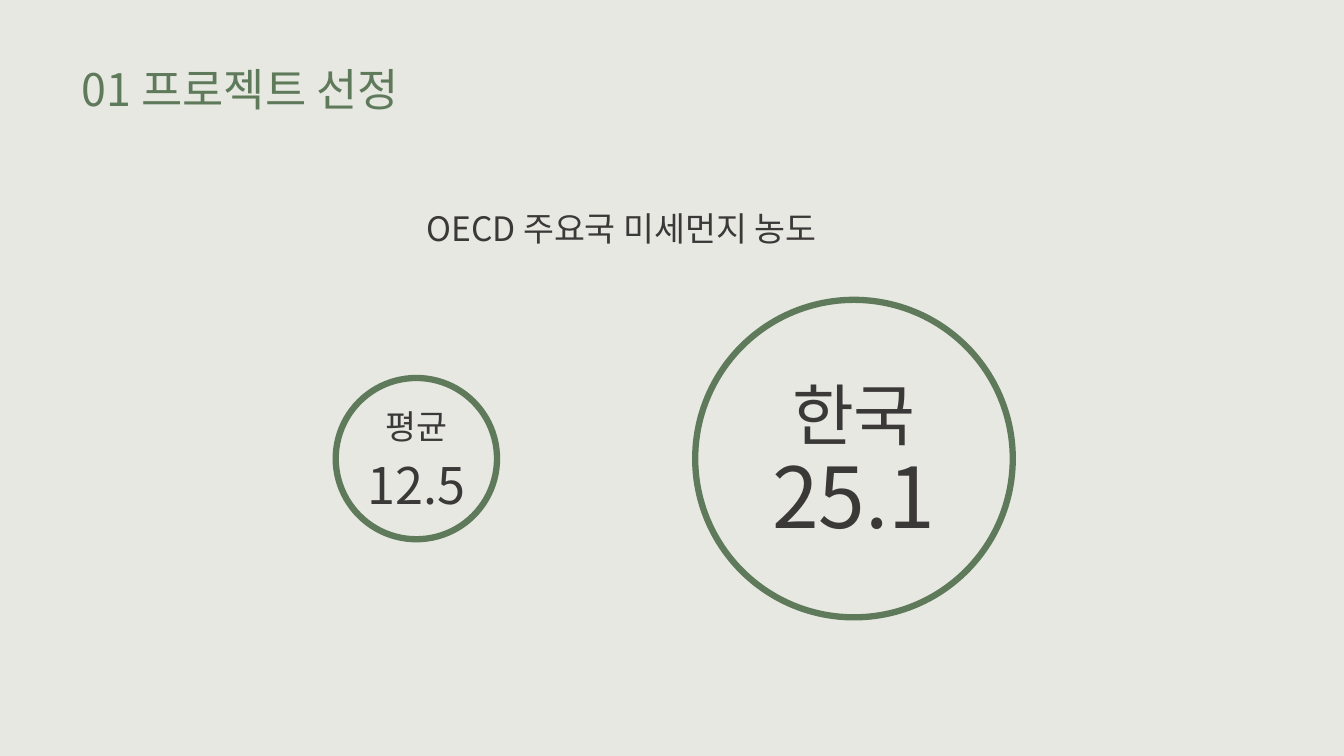
from lxml.etree import SubElement
from pptx import Presentation
from pptx.dml.color import RGBColor
from pptx.enum.shapes import MSO_SHAPE
from pptx.enum.text import MSO_ANCHOR, MSO_AUTO_SIZE, PP_ALIGN
from pptx.oxml.ns import qn
from pptx.util import Inches, Pt

TITLE = "01 프로젝트 선정"
CHART_HEADING = "OECD 주요국 미세먼지 농도"
AVERAGE = [("평균", 24), ("12.5", 36)]
KOREA = [("한국", 48), ("25.1", 60)]

FONT = "Noto Sans CJK KR"
BACKGROUND = RGBColor(0xE7, 0xE8, 0xE2)
GREEN = RGBColor(0x5F, 0x7A, 0x5A)
DARK = RGBColor(0x3B, 0x38, 0x38)

# Circles share one horizontal axis: centre x and diameter, in inches
AXIS_Y = 4.55
CIRCLES = [(4.13, 1.6), (8.47, 3.15)]


def place(shape, left, top, width, height):
    shape.left, shape.top = Inches(left), Inches(top)
    shape.width, shape.height = Inches(width), Inches(height)


def add_text(paragraph, text, size, color=DARK):
    run = paragraph.add_run()
    run.text = text
    run.font.size = Pt(size)
    run.font.name = FONT
    run.font.color.rgb = color
    SubElement(run.font._element, qn("a:ea"), typeface=FONT)


def format_paragraph(paragraph, align=PP_ALIGN.CENTER, line_spacing=0.9, before=0):
    properties = paragraph._p.get_or_add_pPr()
    properties.set("marL", "0")
    properties.set("indent", "0")
    SubElement(properties, qn("a:buNone"))
    paragraph.alignment = align
    paragraph.line_spacing = line_spacing
    paragraph.space_before = Pt(before)


def set_frame(shape, anchor=MSO_ANCHOR.TOP):
    frame = shape.text_frame
    frame.word_wrap = True
    frame.auto_size = MSO_AUTO_SIZE.NONE
    frame.vertical_anchor = anchor
    return frame


def main():
    presentation = Presentation()
    presentation.slide_width = Inches(13.33)
    presentation.slide_height = Inches(7.5)
    slide = presentation.slides.add_slide(presentation.slide_layouts[1])
    slide.background.fill.solid()
    slide.background.fill.fore_color.rgb = BACKGROUND

    title = slide.shapes.title
    place(title, 0.71, 0.55, 3.65, 0.73)
    paragraph = set_frame(title, MSO_ANCHOR.MIDDLE).paragraphs[0]
    format_paragraph(paragraph, PP_ALIGN.LEFT)
    add_text(paragraph, TITLE, 32, GREEN)

    average = slide.placeholders[1]
    place(average, 3.33, 4.02, 1.6, 1.54)
    frame = set_frame(average)
    for index, (text, size) in enumerate(AVERAGE):
        paragraph = frame.add_paragraph() if index else frame.paragraphs[0]
        format_paragraph(paragraph, before=10 if index else 0)
        add_text(paragraph, text, size)

    heading = slide.shapes.add_textbox(Inches(4.13), Inches(2.01), Inches(4.52), Inches(0.5))
    paragraph = set_frame(heading).paragraphs[0]
    format_paragraph(paragraph, PP_ALIGN.LEFT, line_spacing=1.0)
    add_text(paragraph, CHART_HEADING, 24)

    korea = slide.shapes.add_textbox(Inches(7.18), Inches(3.75), Inches(2.58), Inches(2.16))
    paragraph = set_frame(korea).paragraphs[0]
    format_paragraph(paragraph)
    for index, (text, size) in enumerate(KOREA):
        if index:
            paragraph.add_line_break()
        add_text(paragraph, text, size)

    for center_x, diameter in CIRCLES:
        circle = slide.shapes.add_shape(
            MSO_SHAPE.OVAL, Inches(center_x - diameter / 2), Inches(AXIS_Y - diameter / 2),
            Inches(diameter), Inches(diameter))
        circle.shadow.inherit = False
        circle.fill.background()
        circle.line.color.rgb = GREEN
        circle.line.width = Pt(4.5)

    presentation.save("out.pptx")


if __name__ == "__main__":
    main()
